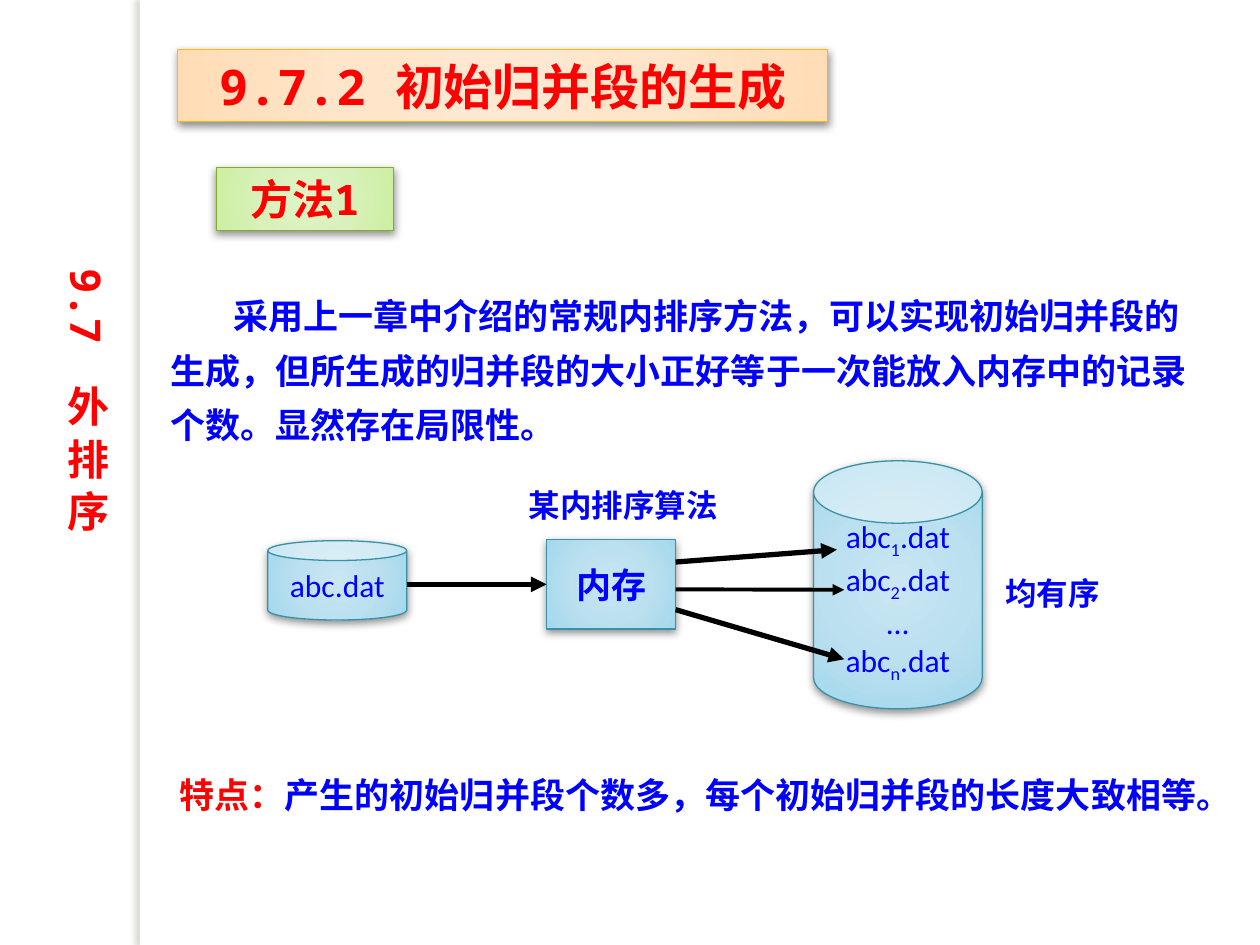
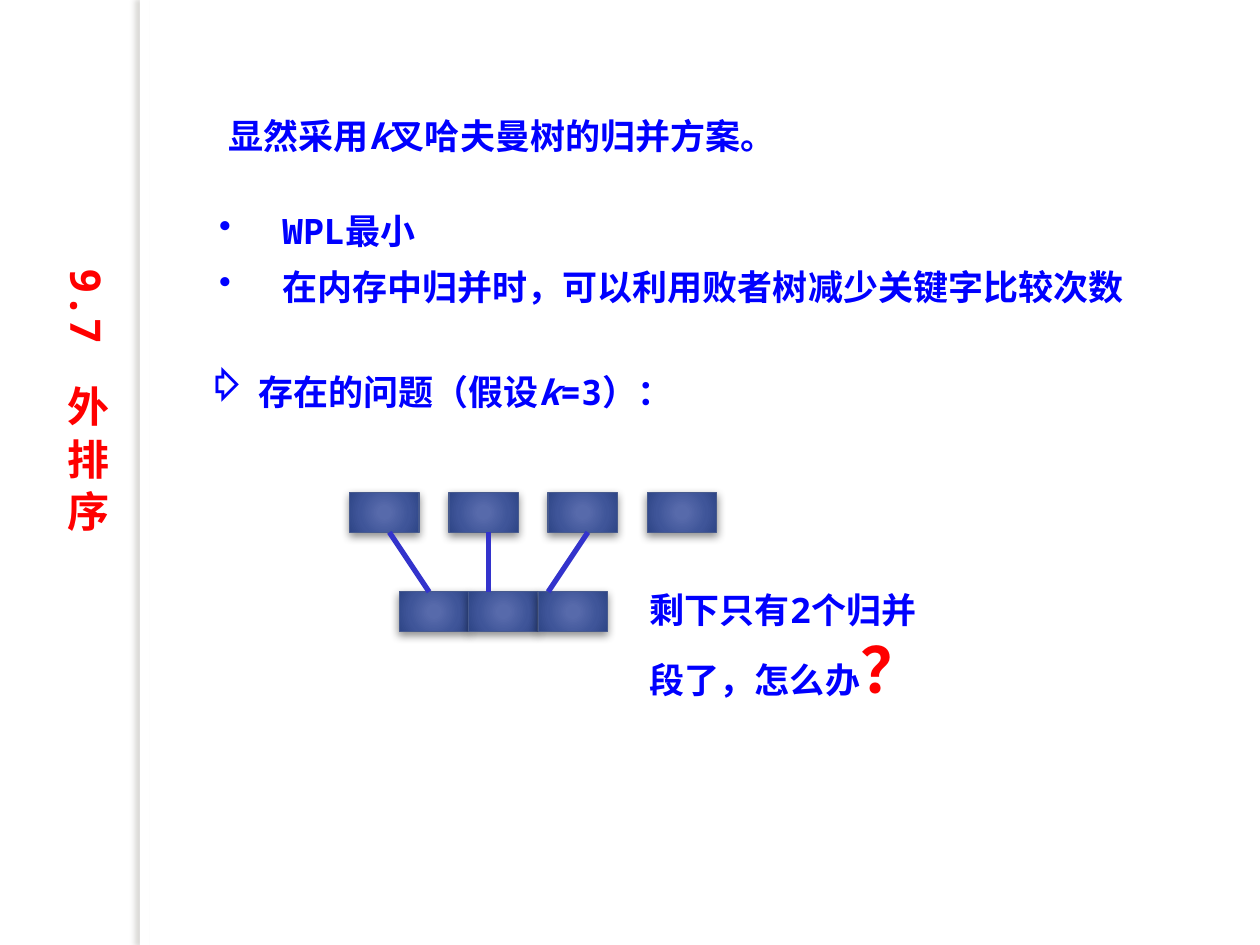
from lxml.etree import SubElement
from pptx import Presentation
from pptx.dml.color import RGBColor
from pptx.enum.shapes import MSO_CONNECTOR as Link, MSO_SHAPE as Preset
from pptx.enum.text import MSO_ANCHOR as Anchor, PP_ALIGN as Align
from pptx.oxml import parse_xml
from pptx.oxml.ns import nsdecls, qn
from pptx.util import Cm, Pt

WHITE = RGBColor(0xFF, 0xFF, 0xFF)
BLACK = RGBColor(0, 0, 0)
RED = RGBColor(0xFF, 0, 0)
BLUE = RGBColor(0, 0, 0xFF)
INDIGO = RGBColor(0x33, 0x33, 0xCC)
AMBER = RGBColor(0xFE, 0xB8, 0x0A)
GREEN = RGBColor(0x84, 0xAA, 0x33)
TEAL = RGBColor(0x38, 0x91, 0xA7)
NAVY = RGBColor(0x47, 0x5A, 0x8D)
TAUPE = RGBColor(0x73, 0x6F, 0x63)

MONO, HAN, SERIF, SANS = "Noto Sans Mono", "Noto Sans CJK SC", "Times New Roman", "Calibri"

PEACH_GLOW = AMBER, {0: "FFE9D3", 50: "FFE5C9", 97: "FFDDB7", 100: "FFDBB2"}
LIME_GLOW = GREEN, {0: "DFF3C7", 50: "D8F1BA", 97: "CDEFA2", 100: "CAF199"}
SKY_GLOW = TEAL, {0: "C9E6F2", 50: "BBE0EF", 97: "A4D8ED", 100: "9BD7EE"}
NAVY_GLOW = NAVY, {0: "576BAC", 15: "576AAB", 62: "3F5599", 97: "304788", 100: "264086"}


class Lecture:
    """Holds the lecture style and draws elements on the current slide."""

    def __init__(self):
        self.deck = Presentation()
        self.deck.slide_width, self.deck.slide_height = Cm(25.4), Cm(19.05)
        self.slide = None

    def new_slide(self):
        self.slide = self.deck.slides.add_slide(self.deck.slide_layouts[6])
        band = self.shape((2.82, 0, 0.2, 19.05))
        band.fill.solid()
        band.fill.fore_color.rgb = WHITE
        band.line.fill.background()
        self.cast_shadow(band, TAUPE, 25, 3, 3, 180)

    def section_label(self, words):
        label = self.text((0.84, 5.16, 1.55, 8.13), [[(words, {})]],
                          size=24, color=RED, align=Align.CENTER)
        label.text_frame._txBody.bodyPr.set("vert", "eaVert")

    def shape(self, box, preset=Preset.RECTANGLE):
        return self.slide.shapes.add_shape(preset, *map(Cm, box))

    def cast_shadow(self, shape, color, alpha, blur, distance, angle):
        shape.shadow.inherit = False
        shape._element.spPr.find(qn("a:effectLst")).append(parse_xml(
            f'<a:outerShdw {nsdecls("a")} blurRad="{Pt(blur)}" dist="{Pt(distance)}" '
            f'dir="{angle * 60000}" rotWithShape="0"><a:srgbClr val="{color}">'
            f'<a:alpha val="{alpha * 1000}"/></a:srgbClr></a:outerShdw>'))

    def glowing(self, box, glow, paragraphs=(), preset=Preset.RECTANGLE, lid=None, **style):
        shape = self.shape(box, preset)
        if lid:
            shape.adjustments[0] = lid
        edge, stops = glow
        shape.fill.solid()
        properties = shape._element.spPr
        stop_list = "".join(f'<a:gs pos="{place * 1000}"><a:srgbClr val="{color}"/></a:gs>'
                            for place, color in stops.items())
        properties.replace(properties.find(qn("a:solidFill")), parse_xml(
            f'<a:gradFill {nsdecls("a")} rotWithShape="1"><a:gsLst>{stop_list}</a:gsLst>'
            '<a:path path="circle"><a:fillToRect l="50000" t="50000" r="50000" b="50000"/>'
            '</a:path></a:gradFill>'))
        shape.line.color.rgb, shape.line.width = edge, Pt(0.75)
        self.cast_shadow(shape, BLACK, 43, 5, 2, 90)
        shape.text_frame.vertical_anchor = Anchor.MIDDLE
        self.fill_frame(shape.text_frame, paragraphs, align=Align.CENTER, **style)

    def text(self, box, paragraphs, **style):
        label = self.slide.shapes.add_textbox(*map(Cm, box))
        label.text_frame.word_wrap = True
        self.fill_frame(label.text_frame, paragraphs, **style)
        return label

    def fill_frame(self, frame, paragraphs, align=Align.LEFT, spacing=None,
                   margin=0, indent=0, bullet=None, **style):
        for number, runs in enumerate(paragraphs):
            paragraph = frame.add_paragraph() if number else frame.paragraphs[0]
            paragraph.alignment = align
            paragraph.line_spacing = spacing
            layout = paragraph._p.get_or_add_pPr()
            layout.set("marL", str(Cm(margin)))
            layout.set("indent", str(Cm(indent)))
            if bullet:
                SubElement(layout, qn("a:buChar")).set("char", bullet)
            for words, changes in runs:
                run = paragraph.add_run()
                run.text = words
                self.style_run(run, **{**style, **changes})

    def style_run(self, run, size=20, font=MONO, color=BLUE, bold=True, italic=False,
                  baseline=0):
        run.font.size, run.font.bold, run.font.italic = Pt(size), bold, italic
        run.font.color.rgb = color
        run.font.name = font
        traits = run._r.get_or_add_rPr()
        SubElement(traits, qn("a:ea")).set("typeface", HAN)
        if baseline:
            traits.set("baseline", str(baseline * 1000))

    def line(self, start, end, color=BLACK, width=3, arrow=False):
        link = self.slide.shapes.add_connector(Link.STRAIGHT, *map(Cm, (*start, *end)))
        link.line.color.rgb, link.line.width = color, Pt(width)
        SubElement(link._element.spPr, qn("a:effectLst"))
        if arrow:
            SubElement(link.line._get_or_add_ln(), qn("a:tailEnd")).set("type", "triangle")


def run_generation(lecture):
    """Draws the slide on generating the initial runs."""
    lecture.new_slide()
    lecture.glowing((3.58, 1, 13.11, 1.45), PEACH_GLOW, [[("9.7.2 初始归并段的生成", {})]],
                    size=28, color=RED)
    lecture.glowing((4.36, 3.38, 3.58, 1.27), LIME_GLOW, [[("方法1", {})]], size=24, color=RED)
    lecture.text((3.18, 5.56, 21.54, 3.48), [[(
        "采用上一章中介绍的常规内排序方法，可以实现初始归并段的生成，"
        "但所生成的归并段的大小正好等于一次能放入内存中的记录个数。显然存在局限性。", {})]],
        font=SERIF, spacing=1.3, indent=1.27)

    file_style = dict(preset=Preset.CAN, size=18, font=SANS, bold=False)
    sorted_files = [[("abc", {}), (index, {"baseline": -25}), (".dat", {})] for index in "12n"]
    sorted_files.insert(2, [("…", {})])
    lecture.glowing((11.02, 10.88, 2.6, 1.8), SKY_GLOW, [[("内存", {})]], font=HAN)
    lecture.glowing((5.4, 10.9, 2.8, 1.6), SKY_GLOW, [[("abc.dat", {})]], lid=0.25, **file_style)
    lecture.glowing((16.4, 9.29, 3.4, 5), SKY_GLOW, sorted_files, lid=0.37, **file_style)
    for start, end, width in (((8.2, 11.78), (11.02, 11.78), 3),
                              ((13.62, 11.33), (16.87, 11.08), 3),
                              ((13.62, 11.88), (17.02, 11.89), 2.25),
                              ((13.62, 12.29), (17.02, 13.29), 3)):
        lecture.line(start, end, width=width, arrow=True)
    lecture.text((20.02, 11.45, 3.8, 1.02), [[("均有序", {})]], size=18, font=HAN)
    lecture.text((10.41, 9.67, 5, 1.02), [[("某内排序算法", {})]], size=18, font=HAN)

    lecture.text((3.37, 15.46, 21.64, 1.12), [[
        ("特点：", {"color": RED}),
        ("产生的初始归并段个数多，每个初始归并段的长度大致相等。", {})]], font=HAN)
    lecture.section_label("9.7　外 排 序")


def merge_problem(lecture):
    """Draws the slide on the k-way merge and its leftover runs."""
    lecture.new_slide()
    k = ("k", {"italic": True})
    lecture.text((4.36, 2.18, 13.97, 1.12),
                 [[("显然采用", {}), k, ("叉哈夫曼树的归并方案。", {})]])
    lecture.text((4.17, 3.81, 20.83, 2.41),
                 [[("WPL最小", {})], [("在内存中归并时，可以利用败者树减少关键字比较次数", {})]],
                 spacing=Pt(32), margin=1.27, indent=-1.27, bullet="•")
    lecture.text((3.92, 7.34, 13, 1.12), [[("存在的问题（假设", {}), k, ("=3）：", {})]],
                 margin=1.04, indent=-1.04, bullet="⇨")

    block_width, block_height, runs_top, merged_top = 1.4, 0.8, 9.93, 11.93
    for column in range(4):
        lecture.glowing((7.05 + 2 * column, runs_top, block_width, block_height), NAVY_GLOW)
    for column in range(3):
        lecture.glowing((8.05 + block_width * column, merged_top, block_width, block_height),
                        NAVY_GLOW)
    for column in range(3):
        lecture.line((7.85 + 2 * column, runs_top + block_height),
                     (8.65 + 1.2 * column, merged_top), INDIGO)

    lecture.text((12.85, 11.73, 6.2, 2.64), [[
        ("剩下只有2个归并段了，怎么办", {}), ("？", {"size": 36, "color": RED})]])
    lecture.section_label("9.7　外 排 序")


def main():
    """Builds and saves the lecture."""
    lecture = Lecture()
    run_generation(lecture)
    merge_problem(lecture)
    lecture.deck.save("out.pptx")


if __name__ == "__main__":
    main()
